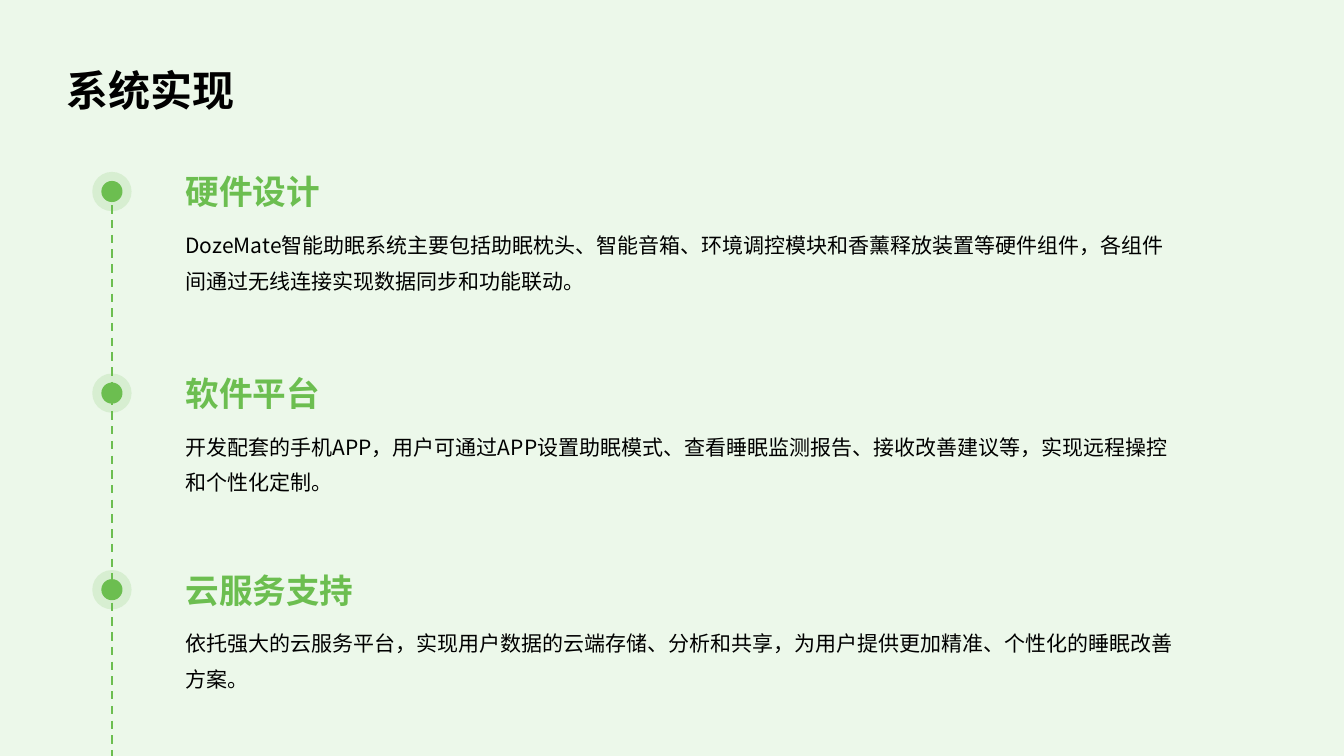
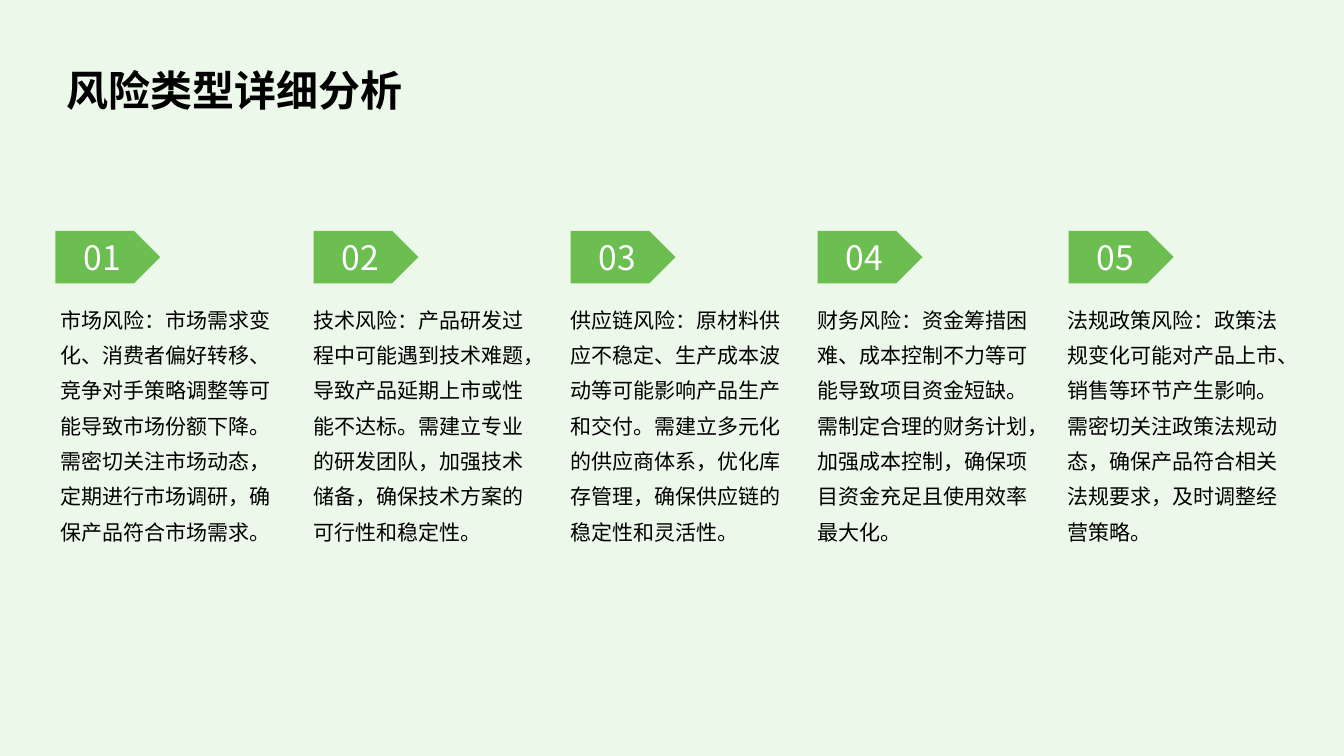
import pptx
import pptx.util
import pptx.dml.color
import pptx.enum.dml
import pptx.enum.shapes
import pptx.enum.text
import pptx.oxml
import pptx.oxml.ns

Inches, Pt = pptx.util.Inches, pptx.util.Pt
RGB = pptx.dml.color.RGBColor.from_string
Shape = pptx.enum.shapes.MSO_SHAPE
Anchor, Align = pptx.enum.text.MSO_ANCHOR, pptx.enum.text.PP_ALIGN
qn, make = pptx.oxml.ns.qn, pptx.oxml.parse_xml
NS = pptx.oxml.ns.nsdecls("a")

FONT = "Noto Sans CJK SC"
HUES = {"back": "ECF8EA", "green": "6CBE50", "black": "000000", "white": "FFFFFF"}
PADS = (0.14, 0.14, 0.06, 0.14)


def write(frame, text, size, hue, space, pads=(0, 0, 0, 0), bold=False,
          anchor=Anchor.TOP, align=Align.LEFT):
    """Set one styled run in a text frame; pads are left, top, right, bottom."""
    frame.word_wrap = True
    frame.vertical_anchor = anchor
    frame.margin_left, frame.margin_top, frame.margin_right, frame.margin_bottom = map(Inches, pads)
    para = frame.paragraphs[0]
    para.alignment = align
    para.line_spacing = space
    run = para.add_run()
    run.text = text
    font = run.font
    font.size, font.bold, font.name = Pt(size), bold, FONT
    font.color.rgb = RGB(HUES[hue])
    font._element.find(qn("a:latin")).addnext(make(f'<a:ea {NS} typeface="{FONT}"/>'))


def block(slide, kind, left, top, width, height):
    """Add a plain green shape without line or shadow."""
    shape = slide.shapes.add_shape(kind, Inches(left), Inches(top), Inches(width), Inches(height))
    shape.shadow.inherit = False
    shape.fill.solid()
    shape.fill.fore_color.rgb = RGB(HUES["green"])
    shape.line.fill.background()
    return shape


deck = pptx.Presentation()
deck.slide_width, deck.slide_height = Inches(13.33), Inches(7.5)
back = deck.slide_master.background.fill
back.solid()
back.fore_color.rgb = RGB(HUES["back"])

layout = deck.slide_layouts[5]
head = layout.placeholders[0]
head.left, head.top, head.width, head.height = map(Inches, (0.52, 0.29, 12.29, 1))
head.text_frame.auto_size = pptx.enum.text.MSO_AUTO_SIZE.NONE

slides = []
for title in ("系统实现", "风险类型详细分析"):
    slide = deck.slides.add_slide(layout)
    write(slide.shapes.title.text_frame, title, 30, "black", 1.4, PADS, True, Anchor.MIDDLE)
    slides.append(slide)
system, risks = slides

# Timeline of system parts
PARTS = [
    (1.49, "硬件设计", "DozeMate智能助眠系统主要包括助眠枕头、智能音箱、环境调控模块和香薰释放装置等硬件组件，各组件间通过无线连接实现数据同步和功能联动。"),
    (3.49, "软件平台", "开发配套的手机APP，用户可通过APP设置助眠模式、查看睡眠监测报告、接收改善建议等，实现远程操控和个性化定制。"),
    (5.44, "云服务支持", "依托强大的云服务平台，实现用户数据的云端存储、分析和共享，为用户提供更加精准、个性化的睡眠改善方案。"),
]
AXIS = 1.11
for top, name, text in PARTS:
    box = system.shapes.add_textbox(Inches(1.84), Inches(top), Inches(9.78), Inches(0.61))
    write(box.text_frame, name, 24, "green", 1.2, bold=True, anchor=Anchor.BOTTOM)
    box = system.shapes.add_textbox(Inches(1.84), Inches(top + 0.72), Inches(9.81), Inches(0.84))
    write(box.text_frame, text, 15, "black", 1.4)
    for size in (0.21, 0.39):
        dot = block(system, Shape.OVAL, AXIS - size / 2, top + 0.41 - size / 2, size, size)
    # The outer dot is a faint halo
    tint = dot.fill._xPr.find(qn("a:solidFill"))[0]
    tint.append(make(f'<a:alpha {NS} val="16000"/>'))

line = system.shapes.add_connector(
    pptx.enum.shapes.MSO_CONNECTOR.STRAIGHT,
    Inches(AXIS), Inches(1.89), Inches(AXIS), Inches(7.5))
line.line.color.rgb = RGB(HUES["green"])
line.line.width = Pt(1.5)
line.line.dash_style = pptx.enum.dml.MSO_LINE.DASH
line._element.spPr.append(make(f"<a:effectLst {NS}/>"))

# Risk columns: left of tag, left of text, text
COLUMNS = [
    (0.55, 0.46, "市场风险：市场需求变化、消费者偏好转移、竞争对手策略调整等可能导致市场份额下降。需密切关注市场动态，定期进行市场调研，确保产品符合市场需求。"),
    (3.11, 2.97, "技术风险：产品研发过程中可能遇到技术难题，导致产品延期上市或性能不达标。需建立专业的研发团队，加强技术储备，确保技术方案的可行性和稳定性。"),
    (5.66, 5.52, "供应链风险：原材料供应不稳定、生产成本波动等可能影响产品生产和交付。需建立多元化的供应商体系，优化库存管理，确保供应链的稳定性和灵活性。"),
    (8.11, 7.97, "财务风险：资金筹措困难、成本控制不力等可能导致项目资金短缺。需制定合理的财务计划，加强成本控制，确保项目资金充足且使用效率最大化。"),
    (10.6, 10.45, "法规政策风险：政策法规变化可能对产品上市、销售等环节产生影响。需密切关注政策法规动态，确保产品符合相关法规要求，及时调整经营策略。"),
]
for num, (left, edge, text) in enumerate(COLUMNS, 1):
    tag = block(risks, Shape.PENTAGON, left, 2.29, 1.04, 0.52)
    write(tag.text_frame, f"{num:02d}", 24, "white", 1.0, (0.02, 0, 0, 0),
          anchor=Anchor.MIDDLE, align=Align.CENTER)
    box = risks.shapes.add_textbox(Inches(edge), Inches(2.81), Inches(2.43), Inches(3.21))
    write(box.text_frame, text, 15, "black", 1.4, PADS)

deck.save("out.pptx")
